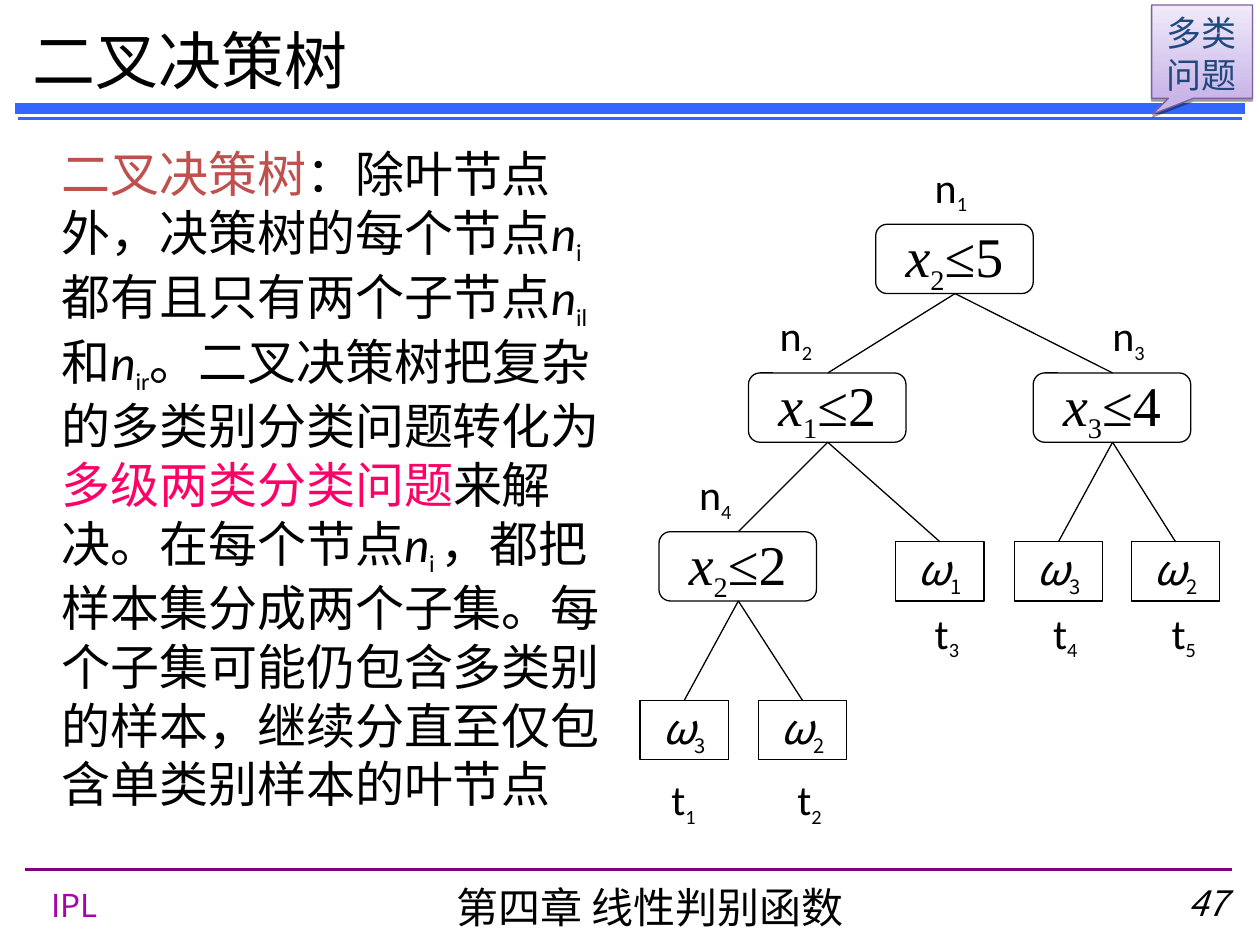
from lxml.etree import SubElement
from pptx import Presentation
from pptx.dml.color import RGBColor
from pptx.enum.shapes import MSO_CONNECTOR, MSO_SHAPE
from pptx.enum.text import MSO_ANCHOR, PP_ALIGN
from pptx.oxml.ns import qn
from pptx.util import Pt

PX = 9144  # EMU per px, 100 px to the inch
COLORS = {
    "black": "000000", "blue": "3366FF", "purple": "800080", "violet": "A603AB",
    "brick": "C0504D", "pink": "FF0066", "navy": "1F497D",
    "callout_dark": "C9B5E8", "callout_light": "F0EAF9", "callout_edge": "7D60A0",
}
CJK, SANS, SERIF = "Noto Sans CJK SC", "Calibri", "Times New Roman"

# Tree: name -> (left, top, index of the variable, comparison, label offset)
TESTS = {
    "n1": (187, 55, "2", "≤5", 37),
    "n2": (86, 173, "1", "≤2", 15),
    "n3": (312, 173, "3", "≤4", 53),
    "n4": (15, 299, "2", "≤2", 22),
}
# name -> (left, top, class index, label offset, label gap)
LEAVES = {
    "t1": (0, 433, "3", 15, 6),
    "t2": (94, 433, "2", 21, 6),
    "t3": (203, 307, "1", 21, 0),
    "t4": (297, 307, "3", 21, 0),
    "t5": (390, 307, "2", 22, 0),
}
CHILDREN = {"n1": ("n2", "n3"), "n2": ("n4", "t3"), "n3": ("t4", "t5"), "n4": ("t1", "t2")}
TEST_SIZE, LEAF_SIZE, LABEL_SIZE = (125, 55), (70, 47), (57, 54)


def rgb(name):
    return RGBColor.from_string(COLORS[name])


def emu(*lengths):
    return [length * PX for length in lengths]


def sub(text, size):
    return text, {"size": size, "baseline": -25}


def write(shape, runs, size=24, font=SANS, color="black", align=PP_ALIGN.LEFT,
          anchor=MSO_ANCHOR.TOP, wrap=True, space_before=0):
    """Fill a shape with runs: plain strings, or (text, changes to the format)."""
    frame = shape.text_frame
    frame.word_wrap = wrap
    frame.vertical_anchor = anchor
    paragraph = frame.paragraphs[0]
    paragraph.alignment = align
    paragraph.space_before = Pt(space_before)
    # Keep punctuation inside the margin
    paragraph._element.get_or_add_pPr().set("hangingPunct", "0")
    for item in runs:
        text, changes = (item, {}) if isinstance(item, str) else item
        if text == "\n":
            paragraph.add_line_break()
            continue
        run = paragraph.add_run()
        run.text = text
        run.font.size = Pt(changes.get("size", size))
        run.font.italic = changes.get("italic", False)
        run.font.name = font
        run.font.color.rgb = rgb(changes.get("color", color))
        properties = run.font._element
        SubElement(properties, qn("a:ea")).set("typeface", font)
        if "baseline" in changes:
            properties.set("baseline", str(changes["baseline"] * 1000))


def add_text(slide, box, runs, **style):
    write(slide.shapes.add_textbox(*emu(*box)), runs, **style)


def add_line(slide, start, end, color="black", width=0.75, cap="flat"):
    line = slide.shapes.add_connector(MSO_CONNECTOR.STRAIGHT, *emu(*start, *end))
    line.line.color.rgb = rgb(color)
    line.line.width = Pt(width)
    line._element.spPr.find(qn("a:ln")).set("cap", cap)
    SubElement(line._element.spPr, qn("a:effectLst"))


def add_box(slide, kind, box, line_color="black"):
    shape = slide.shapes.add_shape(kind, *emu(*box))
    shape.shadow.inherit = False
    shape.fill.background()
    shape.line.color.rgb = rgb(line_color)
    shape.line.width = Pt(0.75)
    return shape


def add_header(slide, box):
    left, top, width, height = box
    add_text(slide, (left, top, 352, 62), ["二叉决策树"], size=36, anchor=MSO_ANCHOR.MIDDLE)
    for y, weight in ((top + height, 2), (top + height - 8, 6)):
        add_line(slide, (left, y), (left + width, y), "blue", weight, cap="sq")


def add_footer(slide, box):
    left, top, width, _ = box
    add_line(slide, (left, top), (left + width, top), "purple", 1.5)
    add_text(slide, (left + 11, top + 8, 65, 39), ["IPL"], size=18, font=CJK, color="violet")
    add_text(slide, (left + 324, top + 5, 344, 50), ["第四章 线性判别函数"], font=CJK,
             align=PP_ALIGN.CENTER)
    add_text(slide, (left + 878, top + 5, 86, 51), [("47", {"italic": True})], size=20,
             font=CJK, align=PP_ALIGN.RIGHT)


def add_body(slide, box):
    node = ("n", {"italic": True})
    add_text(slide, box, [
        ("二叉决策树", {"color": "brick"}),
        "：除叶节点外，决策树的每个节点", node, sub("i", 24),
        "都有且只有两个子节点", node, sub("il", 24),
        "和", node, sub("ir", 24),
        "。二叉决策树把复杂的多类别分类问题转化为",
        ("多级两类分类问题", {"color": "pink"}),
        "来解决。在每个节点", node, sub("i ", 24),
        "，都把样本集分成两个子集。每个子集可能仍包含多类别的样本，"
        "继续分直至仅包含单类别样本的叶节点",
    ], size=28, space_before=7)


def add_tree(slide, box):
    left, top = box[:2]
    places = {name: (left + x, top + y, *TEST_SIZE) for name, (x, y, *_) in TESTS.items()}
    places |= {name: (left + x, top + y, *LEAF_SIZE) for name, (x, y, *_) in LEAVES.items()}

    # Branches, from bottom centre of the parent to top centre of the child
    for parent, children in CHILDREN.items():
        x, y, width, height = places[parent]
        for child in children:
            child_x, child_y, child_width, _ = places[child]
            add_line(slide, (x + (width + 1) // 2, y + height),
                     (child_x + (child_width + 1) // 2, child_y))

    def add_node(name, kind, runs, label_x, label_y, **style):
        x, y = places[name][:2]
        write(add_box(slide, kind, places[name]), runs, align=PP_ALIGN.CENTER,
              anchor=MSO_ANCHOR.MIDDLE, wrap=False, **style)
        add_text(slide, (x + label_x, y + label_y, *LABEL_SIZE), [name[0], sub(name[1], 20)])

    # Test nodes carry the label above, leaves below
    for name, (_, _, index, comparison, offset) in TESTS.items():
        add_node(name, MSO_SHAPE.ROUNDED_RECTANGLE,
                 [("x", {"italic": True}), sub(index, 28), comparison],
                 offset, -TEST_SIZE[1], size=32, font=SERIF)
    for name, (_, _, index, offset, gap) in LEAVES.items():
        add_node(name, MSO_SHAPE.RECTANGLE, [("ω", {"italic": True}), sub(index, 20)],
                 offset, LEAF_SIZE[1] + gap, font=CJK)


def add_callout(slide, box):
    callout = add_box(slide, MSO_SHAPE.RECTANGULAR_CALLOUT, box, "callout_edge")
    callout.adjustments[0], callout.adjustments[1] = -0.49, 0.67
    callout.fill.gradient()
    callout.fill.gradient_angle = 90
    for stop, color in zip(callout.fill.gradient_stops, ("callout_dark", "callout_light")):
        stop.color.rgb = rgb(color)
    # Drop shadow
    effects = callout._element.spPr.find(qn("a:effectLst"))
    shadow = SubElement(effects, qn("a:outerShdw"), dist="20000", dir="5400000", rotWithShape="0")
    tint = SubElement(shadow, qn("a:srgbClr"), val=COLORS["black"])
    SubElement(tint, qn("a:alpha"), val="38000")
    write(callout, ["多类", "\n", "问题"], size=20, color="navy", align=PP_ALIGN.CENTER)


def main():
    presentation = Presentation()
    presentation.slide_width, presentation.slide_height = emu(1000, 750)
    slide = presentation.slides.add_slide(presentation.slide_layouts[6])
    add_footer(slide, (20, 690, 958, 60))
    add_header(slide, (16, 16, 968, 78))
    add_body(slide, (39, 109, 461, 570))
    add_tree(slide, (508, 123, 469, 540))
    add_callout(slide, (914, 4, 80, 74))
    presentation.save("out.pptx")


if __name__ == "__main__":
    main()
